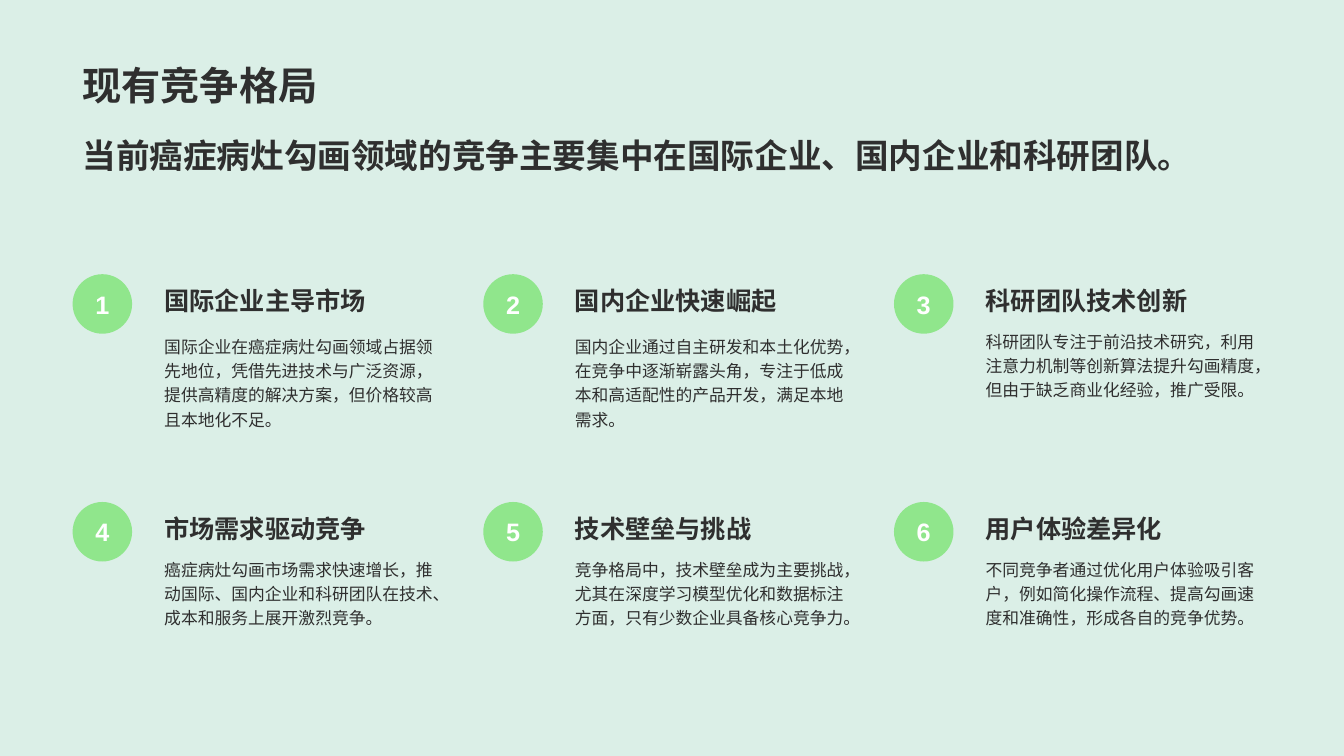
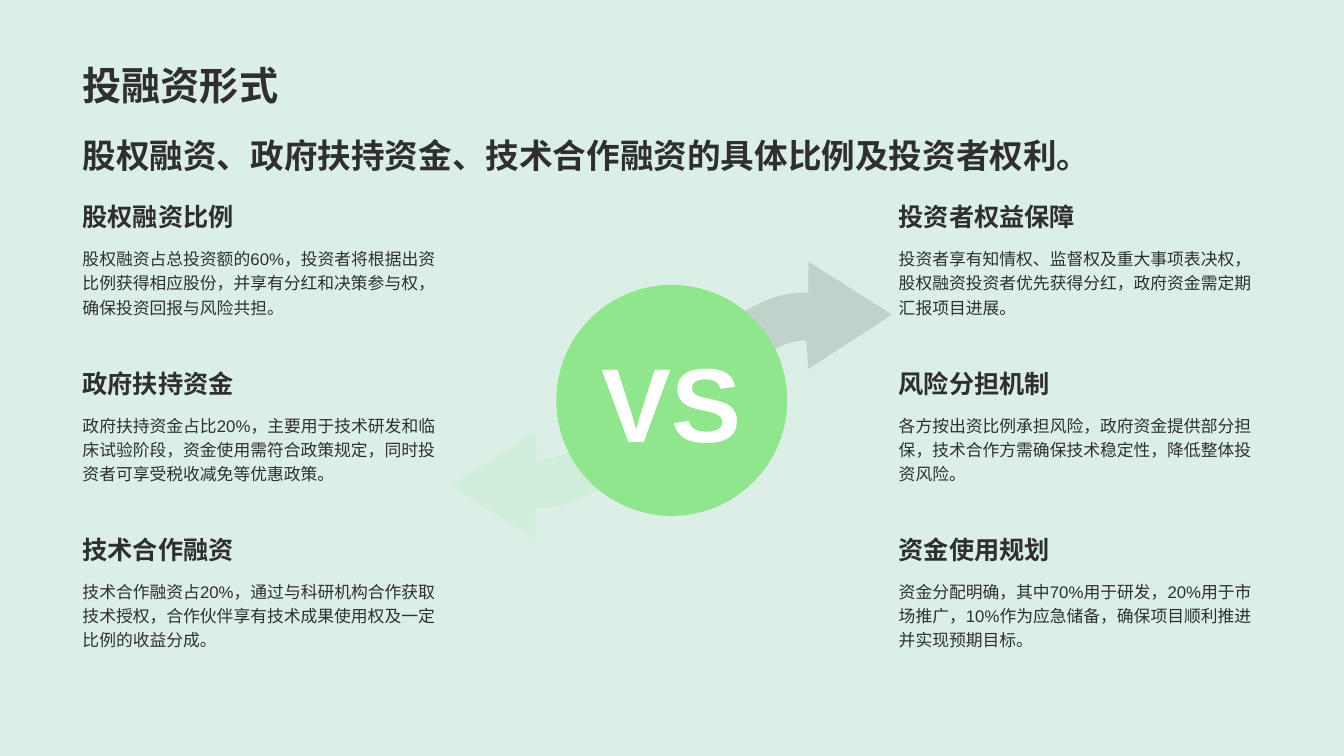
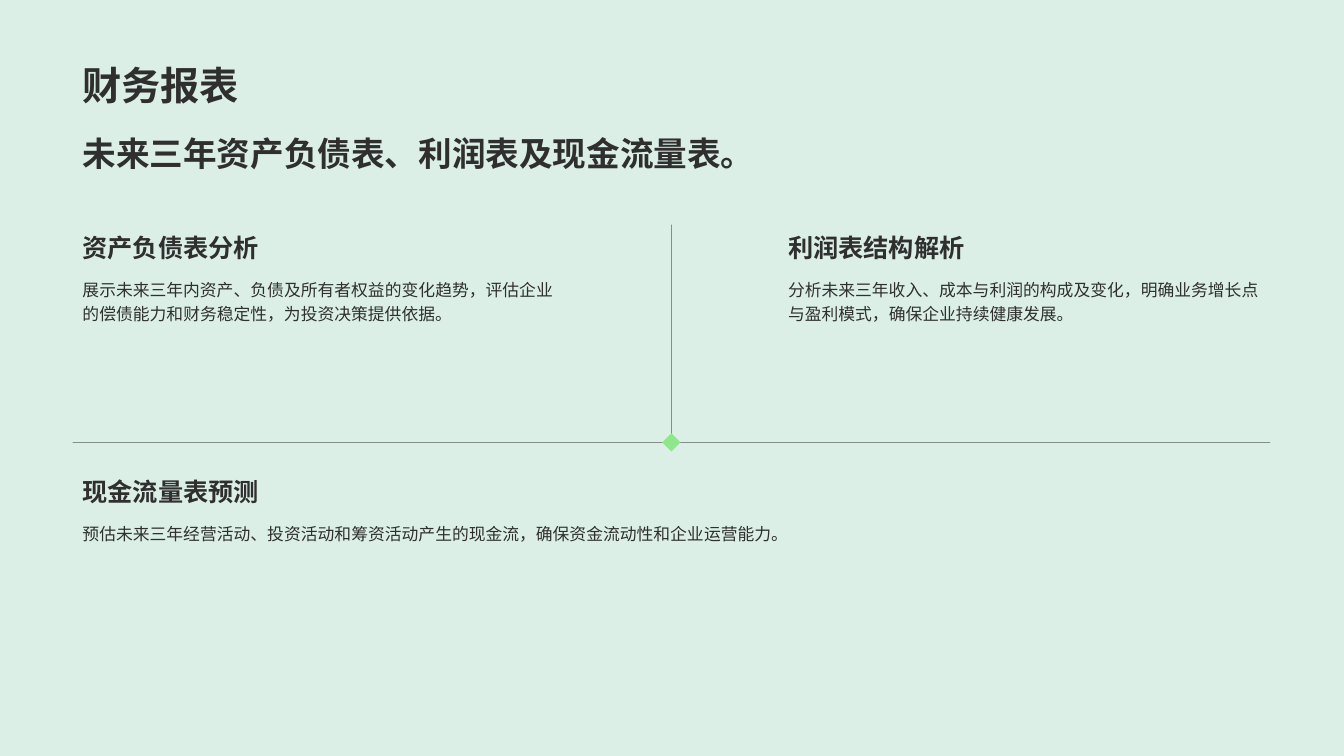
from math import cos, pi, sin

from lxml.etree import SubElement
from pptx import Presentation
from pptx.dml.color import RGBColor
from pptx.enum.lang import MSO_LANGUAGE_ID
from pptx.enum.shapes import MSO_CONNECTOR, MSO_SHAPE
from pptx.enum.text import MSO_ANCHOR, PP_ALIGN
from pptx.oxml.ns import qn
from pptx.util import Cm, Pt

COLORS = {"bg": "DBEFE7", "ink": "2F2F2F", "accent": "90E68C", "white": "FFFFFF"}
FONT = "Arial"
LEFT, WIDTH = 1.83, 30.18

COMPETITION = [
    ("国际企业主导市场", "国际企业在癌症病灶勾画领域占据领先地位，凭借先进技术与广泛资源，提供高精度的解决方案，但价格较高且本地化不足。", 1.35),
    ("国内企业快速崛起", "国内企业通过自主研发和本土化优势，在竞争中逐渐崭露头角，专注于低成本和高适配性的产品开发，满足本地需求。", 1.35),
    ("科研团队技术创新", "科研团队专注于前沿技术研究，利用注意力机制等创新算法提升勾画精度，但由于缺乏商业化经验，推广受限。", 1.22),
    ("市场需求驱动竞争", "癌症病灶勾画市场需求快速增长，推动国际、国内企业和科研团队在技术、成本和服务上展开激烈竞争。", 1.22),
    ("技术壁垒与挑战", "竞争格局中，技术壁垒成为主要挑战，尤其在深度学习模型优化和数据标注方面，只有少数企业具备核心竞争力。", 1.22),
    ("用户体验差异化", "不同竞争者通过优化用户体验吸引客户，例如简化操作流程、提高勾画速度和准确性，形成各自的竞争优势。", 1.22),
]
FUNDING = [
    ("股权融资比例", "股权融资占总投资额的60%，投资者将根据出资比例获得相应股份，并享有分红和决策参与权，确保投资回报与风险共担。"),
    ("政府扶持资金", "政府扶持资金占比20%，主要用于技术研发和临床试验阶段，资金使用需符合政策规定，同时投资者可享受税收减免等优惠政策。"),
    ("技术合作融资", "技术合作融资占20%，通过与科研机构合作获取技术授权，合作伙伴享有技术成果使用权及一定比例的收益分成。"),
]
INVESTORS = [
    ("投资者权益保障", "投资者享有知情权、监督权及重大事项表决权，股权融资投资者优先获得分红，政府资金需定期汇报项目进展。"),
    ("风险分担机制", "各方按出资比例承担风险，政府资金提供部分担保，技术合作方需确保技术稳定性，降低整体投资风险。"),
    ("资金使用规划", "资金分配明确，其中70%用于研发，20%用于市场推广，10%作为应急储备，确保项目顺利推进并实现预期目标。"),
]


def rgb(name):
    """Return the named colour."""
    return RGBColor.from_string(COLORS[name])


def set_alpha(sp, percent):
    """Make the coloured fill or line of a shape partly transparent."""
    for clr in sp._element.spPr.iter(qn("a:srgbClr")):
        SubElement(clr, qn("a:alpha"), val=str(percent * 1000))


def write(p, text, size, bold, color):
    """Add one styled run to a paragraph."""
    r = p.add_run()
    r.text = text
    r.font.size, r.font.bold, r.font.name = Pt(size), bold, FONT
    r.font.color.rgb = rgb(color)
    r.font.language_id = MSO_LANGUAGE_ID.SIMPLIFIED_CHINESE
    r.font._element.find(qn("a:latin")).addnext(
        r.font._element.makeelement(qn("a:ea"), {"typeface": FONT}))


def add_text(s, box, text, size, bold=False, anchor=MSO_ANCHOR.TOP, spacing=None):
    """Place a wrapped text box."""
    tf = s.shapes.add_textbox(*map(Cm, box)).text_frame
    tf.word_wrap, tf.vertical_anchor = True, anchor
    p = tf.paragraphs[0]
    p.line_spacing = spacing
    write(p, text, size, bold, "ink")


def paint(sp, color):
    """Give a shape a plain fill without line or shadow."""
    sp.shadow.inherit = False
    sp.fill.solid()
    sp.fill.fore_color.rgb = rgb(color)
    sp.line.fill.background()


def add_disc(s, x, y, d, label, size):
    """Place a green disc with a white label."""
    sp = s.shapes.add_shape(MSO_SHAPE.OVAL, Cm(x), Cm(y), Cm(d), Cm(d))
    paint(sp, "accent")
    tf = sp.text_frame
    tf.word_wrap, tf.vertical_anchor = False, MSO_ANCHOR.MIDDLE
    p = tf.paragraphs[0]
    p.alignment = PP_ALIGN.CENTER
    write(p, label, size, True, "white")


def add_rule(s, x1, y1, x2, y2):
    """Draw a thin translucent divider."""
    ln = s.shapes.add_connector(MSO_CONNECTOR.STRAIGHT, Cm(x1), Cm(y1), Cm(x2), Cm(y2))
    ln.line.width = Pt(0.5)
    ln.line.color.rgb = rgb("ink")
    set_alpha(ln, 50)
    SubElement(ln._element.spPr, qn("a:effectLst"))


def add_block(s, x, y, w, body_h, head, body, head_h=1.17, numbered=False):
    """Place a heading with its body text below."""
    anchor, spacing = (MSO_ANCHOR.TOP, 1.2) if numbered else (MSO_ANCHOR.MIDDLE, None)
    add_text(s, (x, y, w, head_h), head, 18, True, anchor, spacing)
    add_text(s, (x, y + head_h, w, body_h), body, 12, spacing=1.2)


def add_arrow(s, cx, cy, turn, color):
    """Draw a curved arrow leaving the centre; turn -1 rotates it by 180 degrees."""
    steps = [i * pi / 32 for i in range(17)]
    arc_x, inner, outer = -3.39, 1.51, 2.72
    pts = [(-3.44, 3.5), (-5.55, 2.16), (-3.44, 0.79)]
    pts += [(arc_x + inner * sin(a), inner * cos(a)) for a in steps]
    pts += [(arc_x + outer * cos(a), outer * sin(a)) for a in steps]
    pts += [(-3.44, outer)]
    pts = [(Cm(cx + turn * x), Cm(cy + turn * y)) for x, y in pts]
    fb = s.shapes.build_freeform(*pts[0])
    fb.add_line_segments(pts[1:], close=True)
    sp = fb.convert_to_shape()
    paint(sp, color)
    set_alpha(sp, 15)


def new_slide(prs, title, subtitle, sub_h=1.52):
    """Add a slide with the shared background, title and subtitle."""
    s = prs.slides.add_slide(prs.slide_layouts[6])
    s.background.fill.solid()
    s.background.fill.fore_color.rgb = rgb("bg")
    add_text(s, (LEFT, 0.36, WIDTH, 2.49), title, 28, True, MSO_ANCHOR.BOTTOM)
    add_text(s, (LEFT, 3.15, WIDTH, sub_h), subtitle, 24, True, MSO_ANCHOR.MIDDLE)
    return s


def competition_slide(prs):
    """Build the grid of six numbered cards."""
    s = new_slide(prs, "现有竞争格局", "当前癌症病灶勾画领域的竞争主要集中在国际企业、国内企业和科研团队。")
    for i, (head, body, head_h) in enumerate(COMPETITION):
        row, col = divmod(i, 3)
        x, y = LEFT + 10.35 * col, 6.91 + 5.74 * row
        add_disc(s, x, y, 1.5, str(i + 1), 18)
        add_block(s, x + 2.06, y, 7.44, 3.18, head, body, head_h, numbered=True)


def funding_slide(prs):
    """Build two columns facing each other around a disc."""
    s = new_slide(prs, "投融资形式", "股权融资、政府扶持资金、技术合作融资的具体比例及投资者权利。")
    cx, cy, d = 16.93, 10.09, 5.82
    add_arrow(s, cx, cy, 1, "accent")
    add_arrow(s, cx, cy, -1, "ink")
    add_disc(s, cx - d / 2, cy - d / 2, d, "VS", 75)
    for x, items in ((LEFT, FUNDING), (22.4, INVESTORS)):
        for i, (head, body) in enumerate(items):
            add_block(s, x, 4.88 + 4.19 * i, 9.6, 2.62, head, body)


def finance_slide(prs):
    """Build three statement blocks split by rules."""
    s = new_slide(prs, "财务报表", "未来三年资产负债表、利润表及现金流量表。", 1.42)
    top, cross_x, cross_y, d = 5.66, 16.92, 11.15, 0.46
    add_block(s, LEFT, top, 12.4, 4.11, "资产负债表分析",
              "展示未来三年内资产、负债及所有者权益的变化趋势，评估企业的偿债能力和财务稳定性，为投资决策提供依据。")
    add_block(s, 19.61, top, 12.4, 4.11, "利润表结构解析",
              "分析未来三年收入、成本与利润的构成及变化，明确业务增长点与盈利模式，确保企业持续健康发展。")
    add_block(s, LEFT, 11.79, WIDTH, 4.11, "现金流量表预测",
              "预估未来三年经营活动、投资活动和筹资活动产生的现金流，确保资金流动性和企业运营能力。")
    add_rule(s, LEFT, cross_y, LEFT + WIDTH, cross_y)
    add_rule(s, cross_x, top, cross_x, cross_y)
    sp = s.shapes.add_shape(MSO_SHAPE.DIAMOND, Cm(cross_x - d / 2), Cm(cross_y - d / 2), Cm(d), Cm(d))
    paint(sp, "accent")


def main():
    """Build and save the deck."""
    prs = Presentation()
    prs.slide_width, prs.slide_height = Cm(33.87), Cm(19.05)
    competition_slide(prs)
    funding_slide(prs)
    finance_slide(prs)
    prs.save("out.pptx")


if __name__ == "__main__":
    main()
